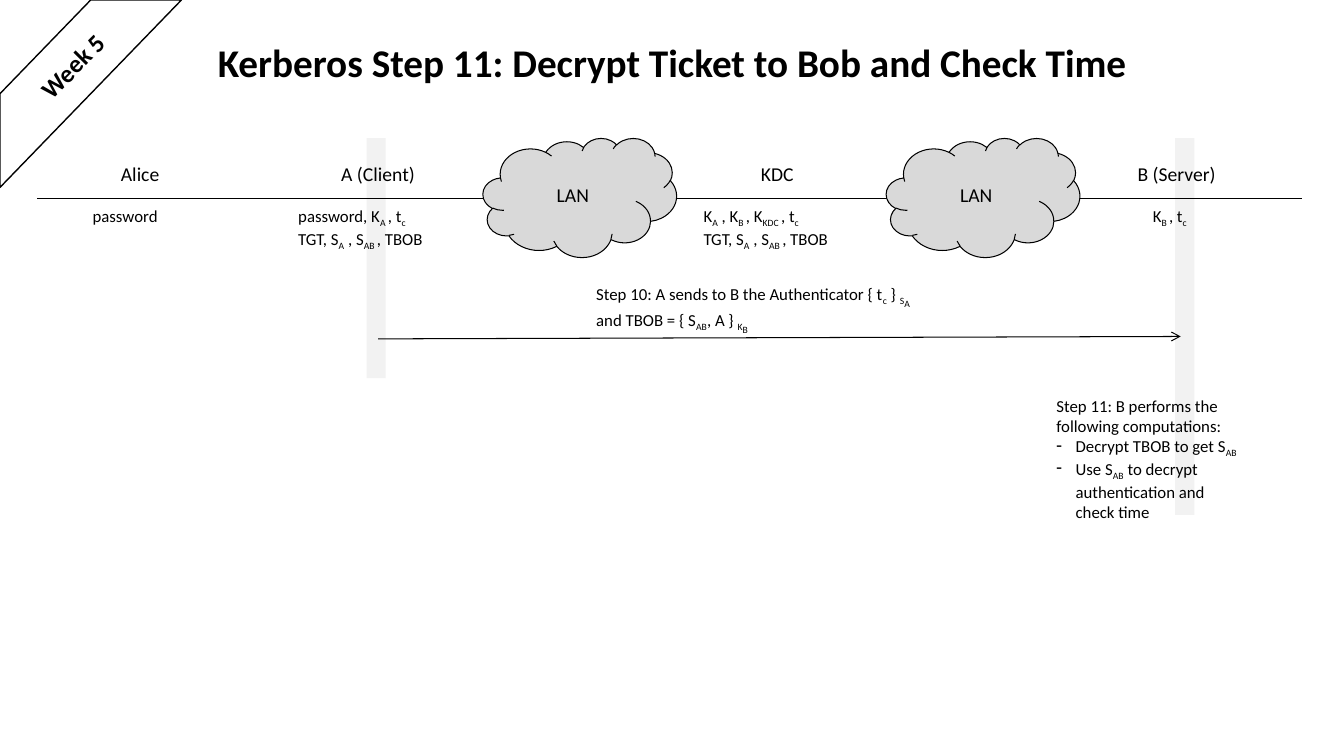
from lxml.etree import SubElement
from pptx import Presentation
from pptx.dml.color import RGBColor
from pptx.enum.shapes import MSO_CONNECTOR, MSO_SHAPE
from pptx.enum.text import MSO_ANCHOR, MSO_AUTO_SIZE, PP_ALIGN
from pptx.oxml.ns import qn
from pptx.util import Inches, Pt

BLACK = RGBColor(0x00, 0x00, 0x00)
WHITE = RGBColor(0xFF, 0xFF, 0xFF)
LANE_GREY = RGBColor(0xF2, 0xF2, 0xF2)
CLOUD_GREY = RGBColor(0xD9, 0xD9, 0xD9)
FONT = "Calibri"
HANG = Inches(0.19)

# Diagram grid: hosts and networks alternate, one per column
FIRST_COLUMN, COLUMN = 1.75, 2.0
FIRST_ROW, ROW = 1.37, 0.6


def column(number):
    return Inches(FIRST_COLUMN + COLUMN * number)


def row(number):
    return Inches(FIRST_ROW + ROW * number)


def rows(count):
    return Inches(ROW * count)


def set_font(para, size, bold=False):
    font = para.font
    font.name, font.size, font.bold = FONT, Pt(size), bold
    font.color.rgb = BLACK


def add_spans(para, text):
    """Underscores enclose a subscript; a caret inside it goes one level lower."""
    for index, piece in enumerate(text.split("_")):
        for depth, part in enumerate(piece.split("^")):
            if part:
                span = para.add_run()
                span.text = part
                if index % 2:
                    baseline = -25000 - 20000 * depth
                    span._r.get_or_add_rPr().set("baseline", str(baseline))


def indent(para, bullet):
    properties = para._p.get_or_add_pPr()
    properties.set("marL", str(HANG))
    if bullet:
        properties.set("indent", str(-HANG))
        SubElement(properties, qn("a:buChar")).set("char", "-")


def add_text(page, center, top, width, height, lines, size=12,
             align=PP_ALIGN.LEFT, bold=False):
    """Lines starting with "- " are bullets, those with "> " continue one."""
    width = Inches(width)
    box = page.shapes.add_textbox(center - width // 2, top, width, Inches(height))
    frame = box.text_frame
    frame.word_wrap = False
    frame.auto_size = MSO_AUTO_SIZE.SHAPE_TO_FIT_TEXT
    for index, line in enumerate(lines):
        para = frame.add_paragraph() if index else frame.paragraphs[0]
        para.alignment = align
        if line[:2] in ("- ", "> "):
            indent(para, bullet=line.startswith("-"))
            line = line[2:]
        set_font(para, size, bold)
        add_spans(para, line)
    return box


def add_figure(page, kind, left, top, width, height, fill, line_width=0):
    figure = page.shapes.add_shape(kind, left, top, width, height)
    figure.shadow.inherit = False
    figure.fill.solid()
    figure.fill.fore_color.rgb = fill
    if line_width:
        figure.line.color.rgb = BLACK
        figure.line.width = Pt(line_width)
    else:
        figure.line.fill.background()
    return figure


def add_lane(page, center, height):
    width = Inches(0.19)
    add_figure(page, MSO_SHAPE.RECTANGLE, column(center) - width // 2, row(0),
               width, height, LANE_GREY)


def add_cloud(page, center, label):
    width = Inches(1.92)
    cloud = add_figure(page, MSO_SHAPE.CLOUD, column(center) - width // 2, row(0),
                       width, rows(1.97), CLOUD_GREY, 0.75)
    cloud.text_frame.vertical_anchor = MSO_ANCHOR.MIDDLE
    para = cloud.text_frame.paragraphs[0]
    para.alignment = PP_ALIGN.CENTER
    set_font(para, 14)
    add_spans(para, label)


def add_line(page, start, end, arrow=False):
    line = page.shapes.add_connector(MSO_CONNECTOR.STRAIGHT, *start, *end)
    line.line.color.rgb = BLACK
    line.line.width = Pt(0.75)
    if arrow:
        SubElement(line.line._get_or_add_ln(), qn("a:tailEnd")).set("type", "arrow")
    SubElement(line._element.spPr, qn("a:effectLst"))


def add_title(page, text):
    title = page.shapes.title
    title.left, title.top = Inches(0.68), Inches(0.02)
    title.width, title.height = Inches(11.97), Inches(1.25)
    frame = title.text_frame
    frame.vertical_anchor = MSO_ANCHOR.MIDDLE
    frame.auto_size = MSO_AUTO_SIZE.NONE
    para = frame.paragraphs[0]
    para.alignment = PP_ALIGN.CENTER
    para.line_spacing = 0.9
    set_font(para, 28, bold=True)
    add_spans(para, text)


def main():
    deck = Presentation()
    deck.slide_width, deck.slide_height = Inches(13.33), Inches(7.5)
    page = deck.slides.add_slide(deck.slide_layouts[5])

    # Activity lanes behind everything
    add_lane(page, 0.99, rows(3.97))
    add_lane(page, 5, rows(6.23))
    add_title(page, "Kerberos Step 11: Decrypt Ticket to Bob and Check Time")

    # Hosts above the network line
    for center, width, name in ((-0.18, 0.59, "Alice"), (1, 0.94, "A (Client)"),
                                (2.98, 0.53, "KDC"), (4.96, 0.98, "B (Server)")):
        add_text(page, column(center), row(0.32), width, 0.34, [name], 14,
                 PP_ALIGN.CENTER)
    add_line(page, (Inches(0.37), row(1)), (Inches(12.91), row(1)))
    for center in (2, 4):
        add_cloud(page, center, "LAN")

    # What each host knows
    session = "TGT, S_A_ , S_AB _, TBOB"
    for center, width, height, known in (
            (-0.25, 0.86, 0.3, ["password"]),
            (0.93, 1.5, 0.5, ["password, K_A _, t_c_", session]),
            (2.94, 1.5, 0.5, ["K_A_ , K_B _, K_KDC _, t_c_", session]),
            (4.94, 0.59, 0.3, ["K_B _, t_c_"])):
        add_text(page, column(center), row(1.03), width, height, known)

    # Protocol steps
    add_text(page, column(2.88), row(2.32), 3.39, 0.5, [
        "Step 10: A sends to B the Authenticator { t_c_ } _S^A_",
        "and TBOB = { S_AB_, A } _K^B_"])
    add_line(page, (column(1), row(3.32)), (column(4.98), row(3.28)), arrow=True)
    add_text(page, column(4.83), row(4.17), 2.06, 1.31, [
        "Step 11: B performs the",
        "following computations:",
        "- Decrypt TBOB to get S_AB_",
        "- Use S_AB_ to decrypt",
        "> authentication and",
        "> check time"])

    # Corner ribbon
    add_figure(page, MSO_SHAPE.DIAGONAL_STRIPE, 0, 0, Inches(1.8), Inches(1.86),
               WHITE, 1)
    week = add_text(page, Inches(0.72), Inches(0.45), 0.98, 0.4, ["Week 5"], 18,
                    bold=True)
    week.rotation = 314.8

    deck.save("out.pptx")


if __name__ == "__main__":
    main()
